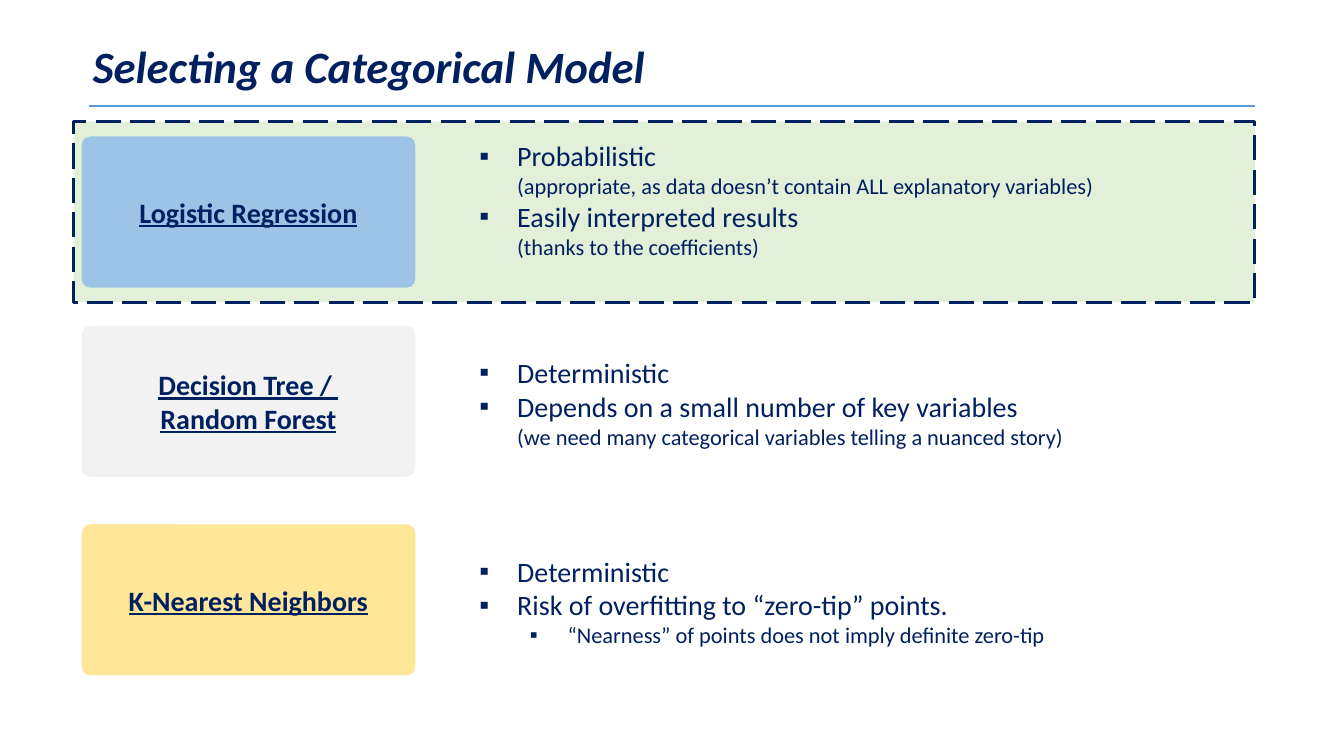
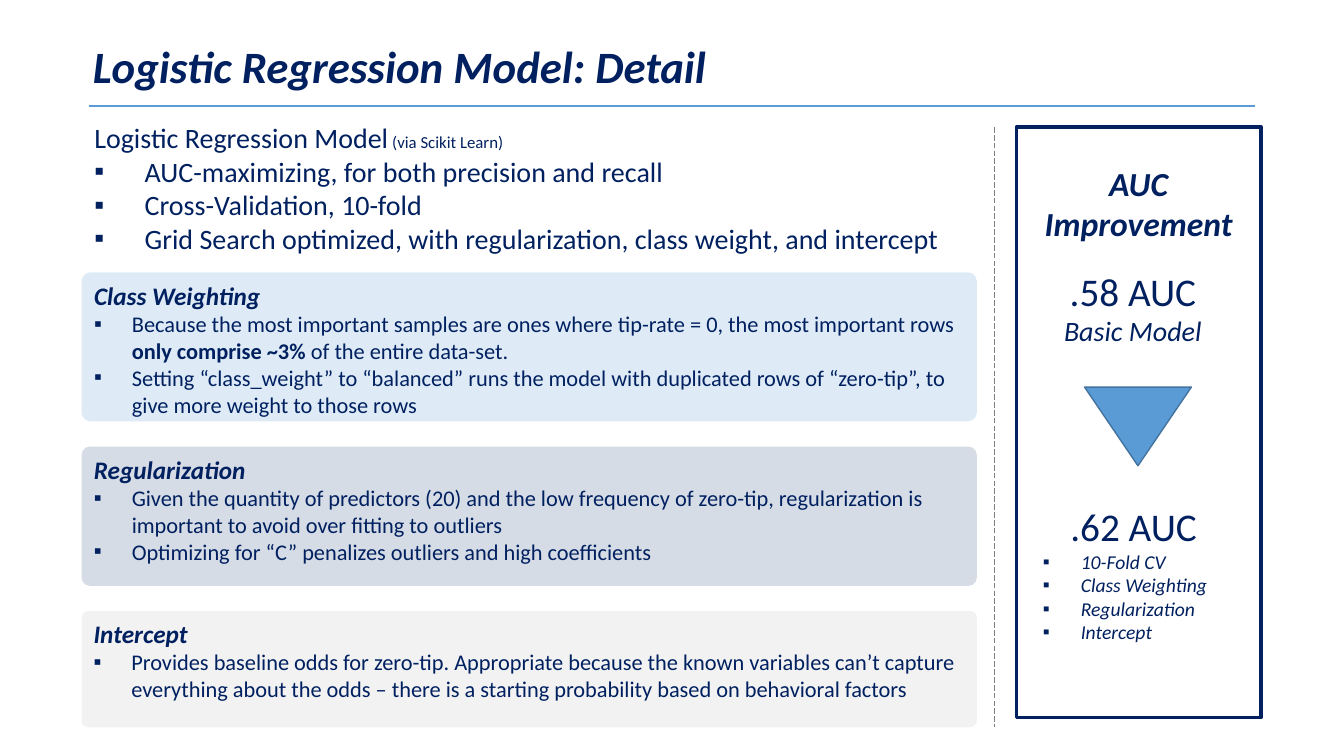
from copy import deepcopy
from dataclasses import dataclass
from pptx import Presentation
from pptx.dml.color import RGBColor
from pptx.enum.dml import MSO_LINE as Dash
from pptx.enum.shapes import MSO_CONNECTOR as Conn, MSO_SHAPE as Kind
from pptx.enum.text import MSO_ANCHOR as Anchor, MSO_AUTO_SIZE as Fit, PP_ALIGN as Align
from pptx.oxml.ns import qn
from pptx.util import Pt
from lxml.etree import SubElement


@dataclass(frozen=True)
class Theme:
    font: str = "Calibri"
    navy: str = "002060"
    blue: str = "5B9BD5"
    edge: str = "43739E"
    gray: str = "7F7F7F"
    sky: str = "9DC3E6"
    pale: str = "DEEBF7"
    slate: str = "D6DCE5"
    mist: str = "F2F2F2"
    gold: str = "FFE699"
    green: str = "E2F0D9"
    title: int = 32
    score: int = 28
    head: int = 24
    main: int = 20
    card: int = 18
    note: int = 16
    item: int = 14
    tiny: int = 12


T = Theme()
LEFT, RULE, EDGE = 58.3, 75.6, 896.4
ROUND = 0.059


def put(obj, **vals):
    for name, val in vals.items():
        setattr(obj, name, val)


def para(*runs, dent=None, level=0, align=Align.LEFT):
    """One paragraph: runs are (text, size, format); dent is (left, hang)."""
    return runs, dent, level, align


def point(*runs, left=27, hang=27, level=0):
    return para(*runs, dent=(left, hang), level=level)


class Deck:
    def __init__(self):
        self.file = Presentation()
        put(self.file, slide_width=Pt(960), slide_height=Pt(540))

    def start(self, layout, title):
        """Add a slide with its title and the rule under it."""
        self.slide = self.file.slides.add_slide(self.file.slide_layouts[layout])
        self.shapes = self.slide.shapes
        self.pool = [p for p in self.slide.placeholders
                     if p.placeholder_format.idx > 0]
        head = self.shapes.title
        self.place(head, (LEFT, 23, 811.4, 52.6))
        self.fill(head, [para((title, T.title, dict(bold=True, italic=True)))],
                  inset=(8, 4.5))
        self.line((63.4, RULE), (EDGE, RULE), T.blue, 1.5)

    def finish(self):
        for spare in self.pool:
            self.shapes._spTree.remove(spare._element)

    def place(self, shape, box):
        names = ("left", "top", "width", "height")
        put(shape, **{n: Pt(v) for n, v in zip(names, box)})

    def ink(self, line, color, width, dash=None):
        line.color.rgb = RGBColor.from_string(color)
        put(line, width=Pt(width), dash_style=dash)

    def line(self, start, end, color, width, dash=None):
        rule = self.shapes.add_connector(
            Conn.STRAIGHT, *(Pt(v) for v in (*start, *end)))
        self.ink(rule.line, color, width, dash)
        SubElement(rule._element.spPr, qn("a:effectLst"))

    def shape(self, kind, box, fill=None, line=None, turn=0):
        form = self.shapes.add_shape(kind, *(Pt(v) for v in box))
        form.shadow.inherit = False
        form.rotation = turn
        if kind == Kind.ROUNDED_RECTANGLE:
            form.adjustments[0] = ROUND
        if fill:
            form.fill.solid()
            form.fill.fore_color.rgb = RGBColor.from_string(fill)
        else:
            form.fill.background()
        if line:
            self.ink(form.line, *line)
        else:
            form.line.fill.background()
        return form

    def card(self, box, fill, paras, anchor=Anchor.TOP):
        form = self.shape(Kind.ROUNDED_RECTANGLE, box, fill)
        self.fill(form, paras, anchor)

    def body(self, box, paras, anchor=Anchor.TOP):
        """Fill the next body placeholder and bring it to the front."""
        form = self.pool.pop(0)
        self.place(form, box)
        self.shapes._spTree.append(form._element)
        self.fill(form, paras, anchor, (9, 5.5))

    def text(self, box, paras):
        form = self.shapes.add_textbox(*(Pt(v) for v in box))
        self.fill(form, paras, inset=(8.4, 4.8))

    def fill(self, form, paras, anchor=Anchor.TOP, inset=(7.2, 3.6)):
        """Set the paragraphs of a shape."""
        side, top = (Pt(v) for v in inset)
        frame = form.text_frame
        put(frame, word_wrap=True, auto_size=Fit.NONE, vertical_anchor=anchor,
            margin_left=side, margin_right=side, margin_top=top,
            margin_bottom=Pt(3.6))
        for i, (runs, dent, level, align) in enumerate(paras):
            par = frame.add_paragraph() if i else frame.paragraphs[0]
            put(par, level=level, alignment=align, line_spacing=1.0,
                space_before=Pt(0), space_after=Pt(0))
            self.mark(par, dent)
            for run in runs:
                self.run(par, *run)

    def mark(self, par, dent):
        prop = par._p.get_or_add_pPr()
        left, hang = dent or (0, 0)
        prop.set("marL", str(Pt(left)))
        prop.set("indent", str(-Pt(hang)))
        if dent:
            SubElement(prop, qn("a:buFont")).set("typeface", "Arial")
            SubElement(prop, qn("a:buChar")).set("char", "▪")
        else:
            SubElement(prop, qn("a:buNone"))

    def run(self, par, text, size, form=None):
        look = dict(name=T.font, size=Pt(size), bold=False, italic=False)
        look.update(form or {})
        for i, part in enumerate(text.split("\n")):
            if i:
                par.add_line_break()
                par._p[-1].append(deepcopy(run._r.rPr))
            if part or not i:
                run = par.add_run()
                run.text = part
                put(run.font, **look)
                run.font.color.rgb = RGBColor.from_string(T.navy)


def choice(deck):
    deck.start(4, "Selecting a Categorical Model")
    # Band behind the chosen model
    deck.shape(Kind.RECTANGLE, (52.6, 86.9, 843.8, 128.9), T.green,
               (T.navy, 2.25, Dash.LONG_DASH))
    # Model name, fill, top, list top, list
    rows = [
        ("Logistic Regression", T.sky, 97.5, 87.5, [
            point(("Probabilistic \n", T.main),
                  ("(appropriate, as data doesn’t contain ALL explanatory variables)",
                   T.note)),
            point(("Easily interpreted results", T.main),
                  (" \n(thanks to the coefficients)", T.note))]),
        ("Decision Tree / \nRandom Forest", T.mist, 232.6, 232.6, [
            point(("Deterministic", T.main)),
            point(("Depends on a small number of key variables \n", T.main),
                  ("(we need many categorical variables telling a nuanced story)",
                   T.note))]),
        ("K-Nearest Neighbors", T.gold, 374.5, 374.5, [
            point(("Deterministic", T.main)),
            point(("Risk of overfitting to “zero-tip” points.", T.main)),
            point(("“Nearness” of points does not imply definite zero-tip", T.note),
                  left=63, level=1)]),
    ]
    for name, fill, top, start, items in rows:
        label = para((name, T.main, dict(bold=True, underline=True)),
                     align=Align.CENTER)
        deck.card((LEFT, top, 238.3, 108), fill, [label], Anchor.MIDDLE)
        deck.body((333.4, start, 468, 108), items, Anchor.MIDDLE)
    deck.finish()


def detail(deck):
    deck.start(1, "Logistic Regression Model: Detail")
    # Summary list
    facts = ["AUC-maximizing, for both precision and recall",
             "Cross-Validation, 10-fold",
             "Grid Search optimized, with regularization, class weight, and intercept"]
    deck.body((LEFT, 80.6, 811.4, 114.5), [
        para(("Logistic Regression Model", T.main), (" (via Scikit Learn)", T.tiny)),
        *(point((fact, T.main), left=36, hang=36) for fact in facts)])

    # Cards, stacked with an equal gap
    cards = [
        ("Class Weighting", T.pale, 106.5, [
            [("Because the most important samples are ones where tip-rate = 0, "
              "the most important rows ", T.note),
             ("only comprise ~3%", T.note, dict(bold=True)),
             (" of the entire data-set.", T.note)],
            [("Setting “class_weight” to “balanced” runs the model with duplicated "
              "rows of “zero-tip”, to give more weight to those rows", T.note)]]),
        ("Regularization", T.slate, 99.5, [
            [("Given the quantity of predictors (20) and the low frequency of "
              "zero-tip, regularization is important to avoid over fitting to "
              "outliers", T.note)],
            [("Optimizing for “C” penalizes outliers and high coefficients",
              T.note)]]),
        ("Intercept", T.mist, 83, [
            [("Provides baseline odds for zero-tip. Appropriate because the known "
              "variables can’t capture everything about the odds – there is a "
              "starting probability based on behavioral factors", T.note)]]),
    ]
    top, gap = 194.5, 18
    for name, fill, high, items in cards:
        head = para((name, T.card, dict(bold=True, italic=True)))
        deck.card((LEFT, top, 639.4, high), fill,
                  [head, *(point(*runs) for runs in items)])
        top += high + gap

    # Side panel
    deck.line((710, 90.7), (710, 519), T.gray, 0.5, Dash.LONG_DASH)
    panel = deck.shape(Kind.RECTANGLE, (725.8, 90.7, 175, 421.9),
                       line=(T.navy, 2.25))
    slant = dict(italic=True)
    deck.fill(panel, [para(("AUC Improvement", T.head, dict(bold=True, italic=True)),
                           align=Align.CENTER)], inset=(7.2, 25.6))
    deck.shape(Kind.ISOSCELES_TRIANGLE, (774.7, 276.5, 76.3, 56.2), T.blue,
               (T.edge, 1), turn=180)
    deck.text((743, 185.8, 132.5, 71.3), [
        para((".58 AUC\n", T.score), ("Basic Model", T.main, slant),
             align=Align.CENTER)])
    steps = ["10-Fold CV", "Class Weighting", "Regularization", "Intercept"]
    deck.text((736.6, 354.2, 146.2, 71.3), [
        para((".62 AUC", T.score), align=Align.CENTER),
        *(point((step, T.item, slant)) for step in steps)])
    deck.finish()


def main():
    deck = Deck()
    choice(deck)
    detail(deck)
    deck.file.save("out.pptx")


if __name__ == "__main__":
    main()
